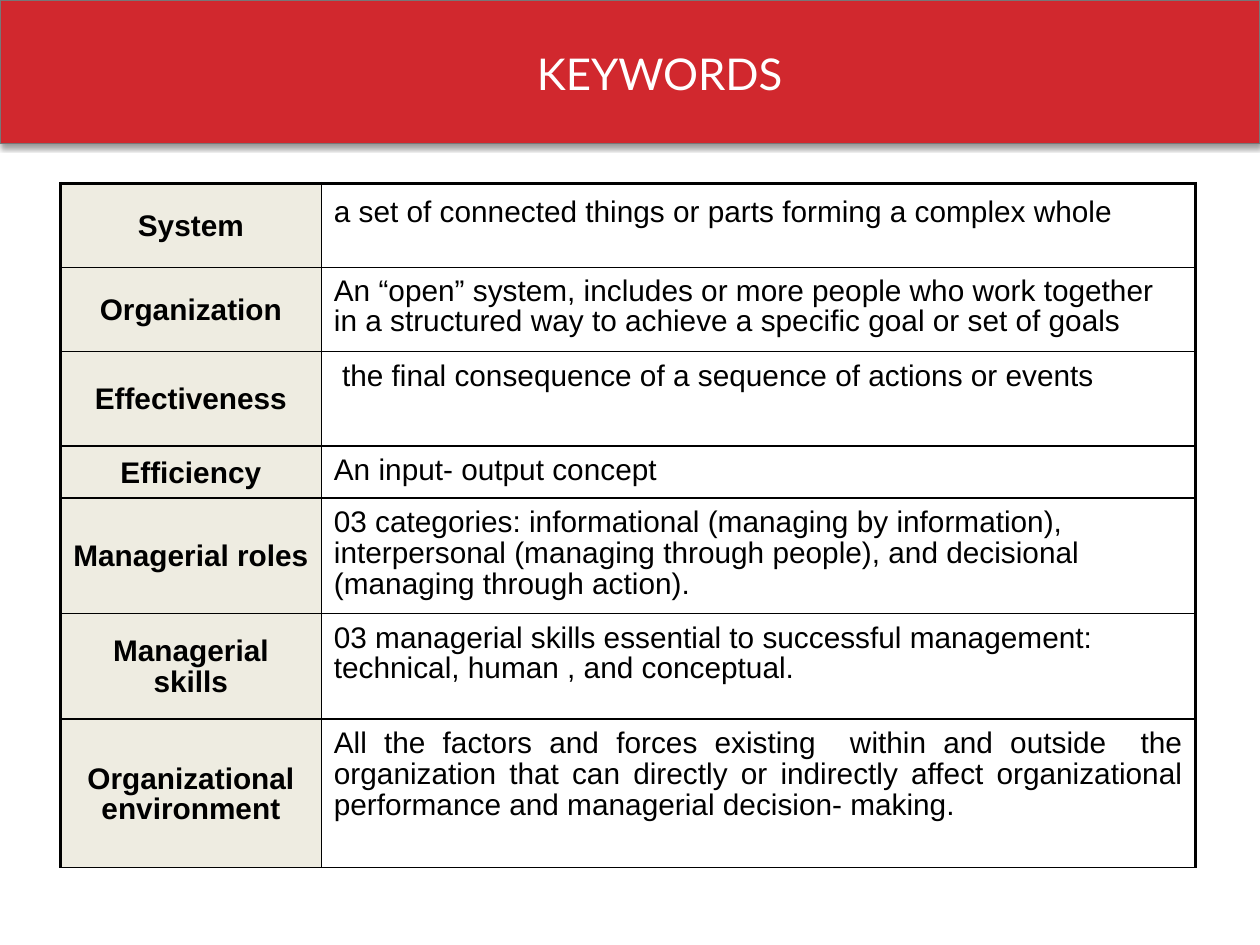
"""Builds the keywords slide: a red title band above a table of terms."""
from lxml import etree
from pptx import Presentation
from pptx.dml import color
from pptx.enum import shapes, text
from pptx.oxml import ns
from pptx.util import Pt

ALIGN = text.PP_ALIGN
ROWS = [
    (48, "System", "a set of connected things or parts forming a complex whole",
     dict(top=8.6, before=7)),
    (48, "Organization", "An “open” system, includes or more people who work together "
     "in a structured way to achieve a specific goal or set of goals",
     dict(top=6.5, gap=0.87)),
    (54, "Effectiveness", " the final consequence of a sequence of actions or events", {}),
    (29.8, "Efficiency", "An input- output concept", {}),
    (66, "Managerial roles", "03 categories: informational (managing by information), "
     "interpersonal (managing through people), and decisional "
     "(managing through action).", {}),
    (60.3, "Managerial skills", "03 managerial skills essential to successful management: "
     "technical, human , and conceptual.", {}),
    (85, "Organizational environment", "All the factors and forces existing  within and "
     "outside  the organization that can directly or indirectly affect organizational "
     "performance and managerial decision- making.", dict(align=ALIGN.JUSTIFY)),
]


def rgb(code):
    return color.RGBColor.from_string(code)


def node(parent, tag, **attrs):
    return etree.SubElement(parent, ns.qn(tag), {k: str(v) for k, v in attrs.items()})


class Deck:
    red, grey, beige, white, black = "D1282E", "777777", "EEECE1", "FFFFFF", "000000"
    head, body = "Lato", "Arial"
    thin, thick = 0.91, 1.93

    def __init__(self, wide, high):
        self.file = Presentation()
        self.file.slide_width, self.file.slide_height = Pt(wide), Pt(high)
        self.slide = self.file.slides.add_slide(self.file.slide_layouts[5])

    def font(self, para, name, size, ink, bold=False):
        font = para.font
        font.name, font.size, font.bold = name, Pt(size), bold
        font.color.rgb = rgb(ink)

    def band(self, *box):
        band = self.slide.shapes.add_shape(shapes.MSO_SHAPE.RECTANGLE, *map(Pt, box))
        band.fill.solid()
        band.fill.fore_color.rgb = rgb(self.red)
        band.line.color.rgb = rgb(self.grey)
        band.line.width = Pt(1)
        band.shadow.inherit = False
        glow = node(band._element.spPr.find(ns.qn("a:effectLst")), "a:outerShdw",
                    blurRad=Pt(3.1), dist=Pt(1.8), dir=5400000, rotWithShape=0)
        node(node(glow, "a:srgbClr", val=self.black), "a:alpha", val=40000)
        self.slide.shapes._spTree.insert(2, band._element)

    def title(self, words, *box):
        title = self.slide.shapes.title
        title.left, title.top, title.width, title.height = map(Pt, box)
        frame = title.text_frame
        frame.text = words
        frame.auto_size = text.MSO_AUTO_SIZE.NONE
        frame.vertical_anchor = text.MSO_ANCHOR.MIDDLE
        para = frame.paragraphs[0]
        para.alignment = ALIGN.CENTER
        self.font(para, self.head, 25, self.white)

    def edges(self, cell, **sides):
        props = cell._tc.get_or_add_tcPr()
        for side in "LRTB":
            line = node(props, f"a:ln{side}", w=Pt(sides.get(side, self.thin)))
            node(node(line, "a:solidFill"), "a:srgbClr", val=self.black)

    def cell(self, cell, words, fill, bold=False, align=ALIGN.LEFT,
             top=5.8, before=0, gap=0.92):
        cell.fill.solid()
        cell.fill.fore_color.rgb = rgb(fill)
        cell.margin_left = cell.margin_right = Pt(7.2)
        cell.margin_top, cell.margin_bottom = Pt(top), Pt(3.6)
        cell.text = words
        para = cell.text_frame.paragraphs[0]
        para.alignment, para.line_spacing = align, gap
        para.space_before = Pt(before)
        self.font(para, self.body, 17, self.black, bold)

    def table(self, left, top, cols, rows):
        high = sum(row[0] for row in rows)
        table = self.slide.shapes.add_table(
            len(rows), len(cols), Pt(left), Pt(top), Pt(sum(cols)), Pt(high)).table
        table.first_row = table.horz_banding = False
        for col, width in zip(table.columns, cols):
            col.width = Pt(width)
        for i, (height, term, sense, style) in enumerate(rows):
            table.rows[i].height = Pt(height)
            name, note = table.cell(i, 0), table.cell(i, 1)
            cap = self.thin if i else self.thick
            self.edges(name, L=self.thick, T=cap)
            self.edges(note, R=self.thick, T=cap)
            self.cell(name, term, self.beige, bold=True, align=ALIGN.CENTER)
            name.vertical_anchor = text.MSO_ANCHOR.MIDDLE
            self.cell(note, sense, self.white, **style)


def main():
    deck = Deck(720, 540)
    deck.band(0, 0, 720, 82)
    deck.title("KEYWORDS", 49.7, 23, 654.5, 37.4)
    deck.table(34.6, 104.8, (149, 499.7), ROWS)
    deck.file.save("out.pptx")


if __name__ == "__main__":
    main()
